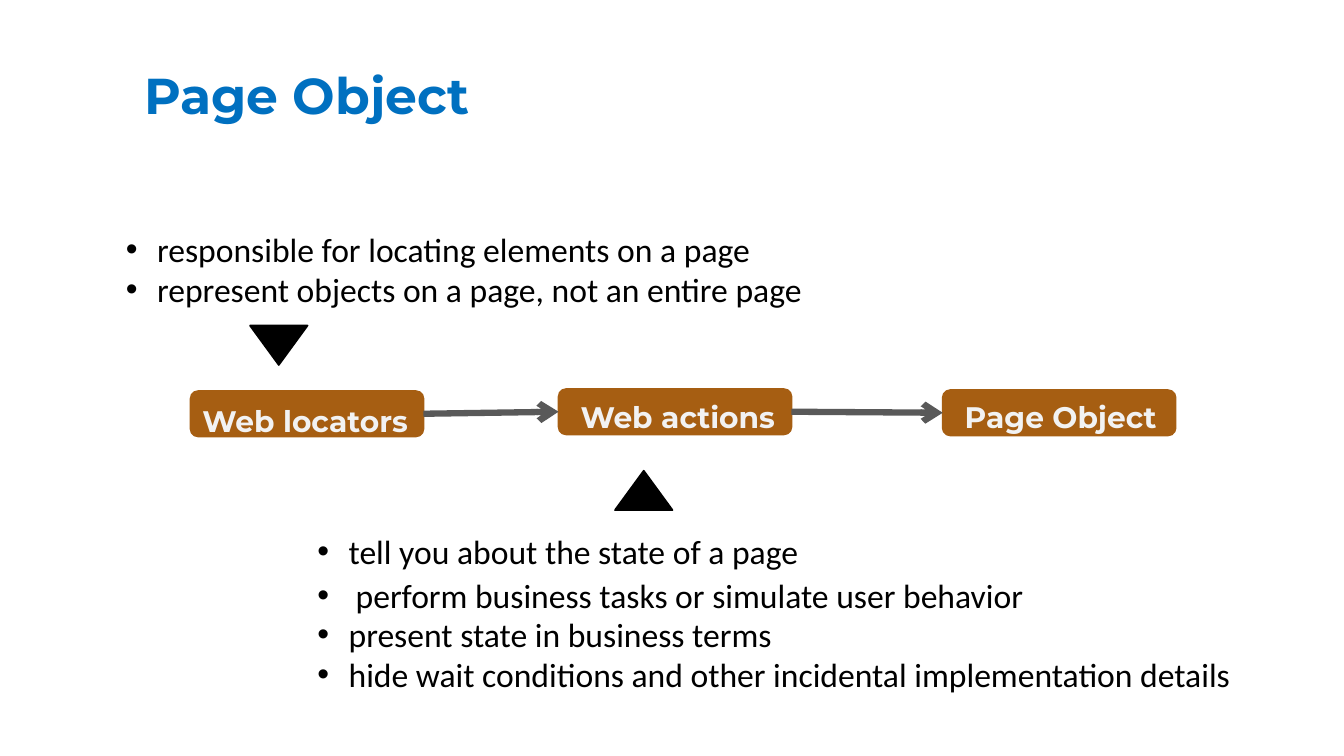
from pptx import Presentation
from pptx.dml.color import RGBColor as Rgb
from pptx.enum.shapes import MSO_CONNECTOR as Link, MSO_SHAPE as Form
from pptx.enum.text import MSO_ANCHOR as Anchor, PP_ALIGN as Align
from pptx.util import Pt
from lxml.etree import SubElement as Sub
from pptx.oxml.ns import qn

PX = 9144
HUES = {"blue": "0070C0", "brown": "A65E12", "pale": "F2F2F2",
        "gray": "595959", "black": "000000"}


def write(box, text, hue, anchor=Anchor.TOP, dent=0, **style):
    frame = box.text_frame
    frame.word_wrap = True
    frame.vertical_anchor = anchor
    para = frame.paragraphs[0]
    para.text = text
    para.alignment = Align.LEFT
    if dent:
        props = para._p.get_or_add_pPr()
        props.set("marL", str(dent * PX))
        props.set("indent", str(-dent * PX))
        Sub(props, qn("a:buFont"), typeface="Arial")
        Sub(props, qn("a:buChar"), char="•")
    font = para.runs[0].font
    for key, value in style.items():
        setattr(font, key, value)
    font.color.rgb = Rgb.from_string(HUES[hue])


def draw(form, place, hue):
    shape = slide.shapes.add_shape(form, *[n * PX for n in place])
    shape.shadow.inherit = False
    shape.fill.solid()
    shape.fill.fore_color.rgb = shape.line.color.rgb = Rgb.from_string(HUES[hue])
    shape.line.width = Pt(1.25)
    return shape


deck = Presentation()
deck.slide_width, deck.slide_height = 1333 * PX, 750 * PX
slide = deck.slides.add_slide(deck.slide_layouts[5])

title = slide.shapes.title
place = {"left": 133, "top": 56, "width": 460, "height": 76}
for key, value in place.items():
    setattr(title, key, value * PX)
write(title, "Page Object", "blue", Anchor.MIDDLE,
      name="Montserrat", size=Pt(36), bold=True)

points = [
    (115, 222, 727, 31, "responsible for locating elements on a page"),
    (115, 262, 709, 31, "represent objects on a page, not an entire page"),
    (305, 522, 603, 31, "tell you about the state of a page"),
    (305, 565, 727, 38, "perform business tasks or simulate user behavior"),
    (305, 604, 667, 31, "present state in business terms"),
    (305, 644, 974, 31, "hide wait conditions and other incidental implementation details"),
]
for left, top, width, dent, text in points:
    box = slide.shapes.add_textbox(left * PX, top * PX, width * PX, 50 * PX)
    write(box, text, "black", dent=dent, name="Calibri", size=Pt(24))

steps = [
    (189, 388, 191, 395, 231, "Web locators"),
    (554, 386, 566, 391, 217, "Web actions"),
    (935, 387, 947, 391, 217, "Page Object"),
]
cards = []
for left, top, start, head, width, text in steps:
    cards.append(draw(Form.ROUNDED_RECTANGLE, (left, top, 231, 45), "brown"))
    label = slide.shapes.add_textbox(start * PX, head * PX, width * PX, 39 * PX)
    write(label, text, "pale", name="Montserrat", size=Pt(21.2), bold=True)

for first, second in zip(cards, cards[1:]):
    arrow = slide.shapes.add_connector(Link.STRAIGHT, 0, 0, 0, 0)
    arrow.begin_connect(first, 3)
    arrow.end_connect(second, 1)
    arrow.line.width = Pt(4.5)
    arrow.line.color.rgb = Rgb.from_string(HUES["gray"])
    Sub(arrow.line._get_or_add_ln(), qn("a:tailEnd"), type="arrow")
    Sub(arrow._element.spPr, qn("a:effectLst"))

for left, top, turn in [(248, 323, 180), (610, 467, 0)]:
    mark = draw(Form.ISOSCELES_TRIANGLE, (left, top, 57, 39), "black")
    mark.rotation = turn

deck.save("out.pptx")
